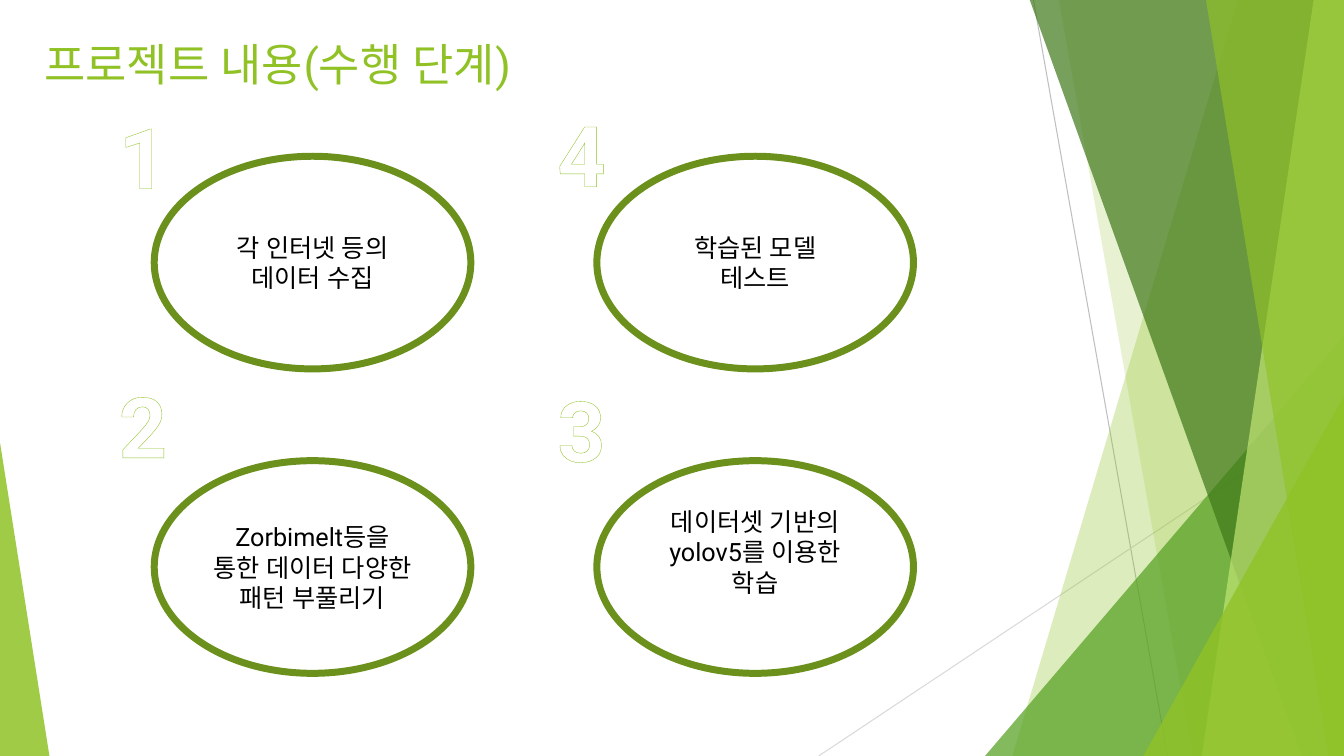
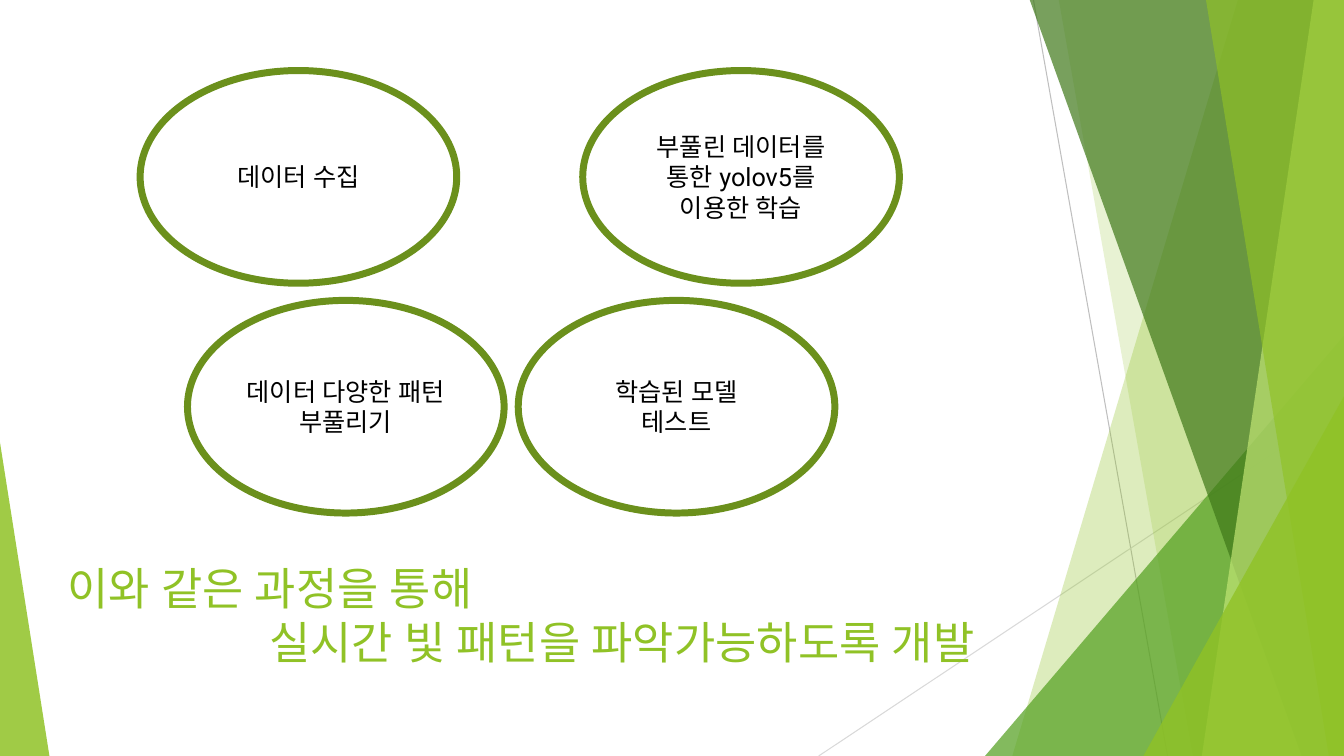
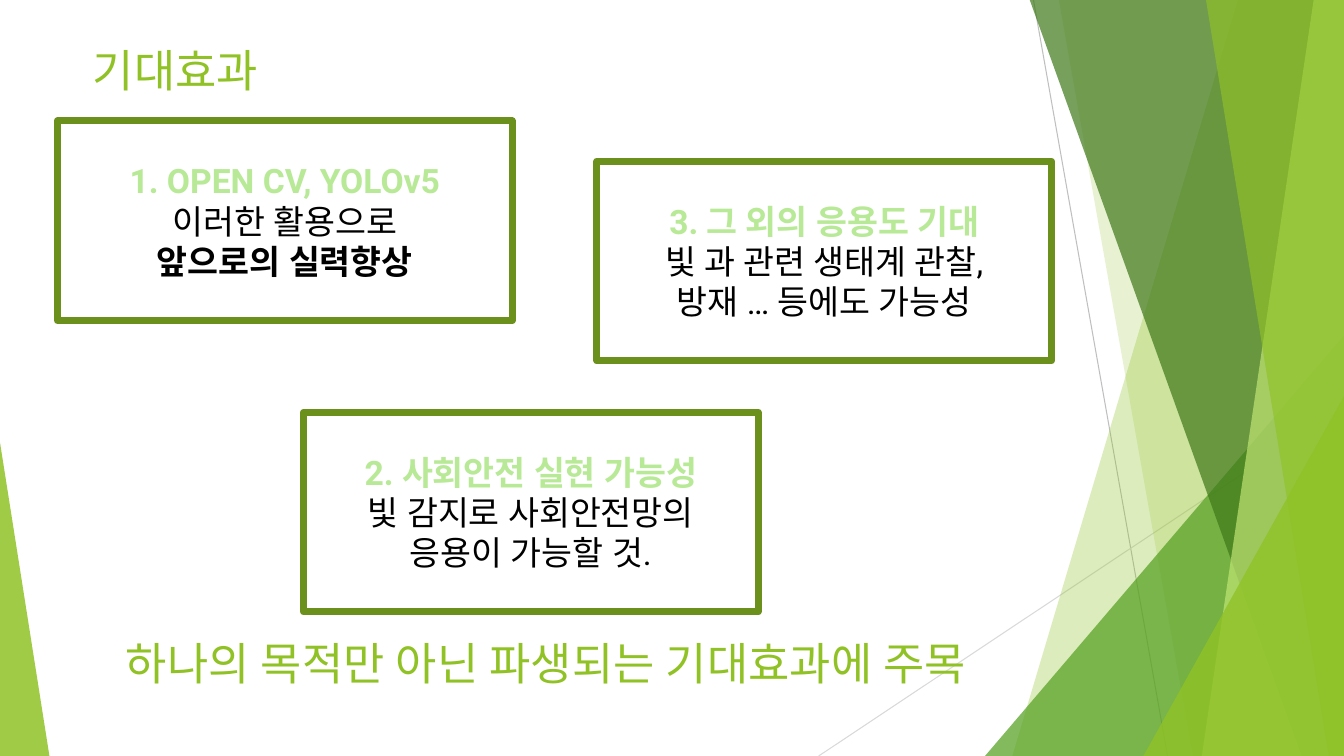
import dataclasses
import pptx
import pptx.util
import pptx.dml.color
import pptx.enum.shapes
import pptx.enum.text
import pptx.oxml
import pptx.oxml.ns

Inches = pptx.util.Inches
Pt = pptx.util.Pt
Kind = pptx.enum.shapes.MSO_SHAPE
Align = pptx.enum.text.PP_ALIGN
Anchor = pptx.enum.text.MSO_ANCHOR
qn = pptx.oxml.ns.qn


@dataclasses.dataclass(frozen=True)
class Theme:
    font: str = "Roboto"
    lime: str = "90C226"
    leaf: str = "54A021"
    pine: str = "3F7819"
    pale: str = "C0E474"
    edge: str = "6B901C"
    mint: str = "B7E996"
    ink: str = "000000"
    white: str = "FFFFFF"
    gray: str = "BFBFBF"
    mist: str = "D9D9D9"
    title: int = 32
    body: int = 18
    card: int = 24
    digit: int = 60
    rim: float = 5
    hair: float = 0.75
    bold: float = 1.75


THEME = Theme()
WIDE, HIGH = 13.33, 7.5
OVAL = (3.14, 2.11)
CARD = (4.51, 1.98)
DIGIT = (1.31, 1.11)

RAYS = [
    ((10.25, 0), (11.58, HIGH), THEME.gray),
    ((WIDE, 4.03), (8.12, HIGH), THEME.mist),
]
ART = [
    ("band", 12.28, 10.04, THEME.lime, 30),
    ("band", 10.5, 11.83, THEME.lime, 20),
    ("peak", (9.77, 3.33, 3.56, 4.17), 1, THEME.leaf, 72),
    ("band", 10.21, 12.91, THEME.pine, 70),
    ("band", 13.03, 11.92, THEME.pale, 70),
    ("band", 11.96, 13.18, THEME.lime, 65),
    ("peak", (11.34, 3.93, 1.99, 3.57), 1, THEME.lime, 80),
    ("peak", (0, 4.39, 0.49, 3.11), 0, THEME.lime, 85),
]

STEPS = {
    "title": (["프로젝트 내용(수행 단계)"], (0.34, 0.31, 5.29, 0.64)),
    "ovals": [
        ((1.53, 1.55), ["각 인터넷 등의", "데이터 수집"], 0.05),
        ((1.53, 4.57), ["Zorbimelt등을 통한 데이터 다양한 패턴 부풀리기"], 0.05),
        ((5.92, 1.55), ["학습된 모델", "테스트"], 0.05),
        ((5.92, 4.57), ["데이터셋 기반의 yolov5를 이용한 학습"], 0.35),
    ],
    "digits": [
        ("1", (1.08, 0.99)),
        ("2", (1.08, 3.66)),
        ("3", (5.43, 3.7)),
        ("4", (5.43, 0.97)),
    ],
}
FLOW = {
    "title": (["이와 같은 과정을 통해", "실시간 빛 패턴을 파악가능하도록 개발"],
              (0.57, 5.51, 9.94, 1.18)),
    "ovals": [
        ((1.39, 0.7), ["데이터 수집"], 0.05),
        ((1.86, 2.98), ["데이터 다양한 패턴 부풀리기"], 0.05),
        ((5.78, 0.7), ["부풀린 데이터를", "통한 yolov5를 이용한 학습"], 0.05),
        ((5.14, 2.98), ["학습된 모델", "테스트"], 0.05),
    ],
}
GAINS = {
    "title": (["기대효과"], (0.82, 0.37, 2, 0.64)),
    "close": (["하나의 목적만 아닌 파생되는 기대효과에 주목"],
              (1.15, 6.26, 9.4, 0.64)),
    "cards": [
        ((0.57, 1.2), ["1. OPEN CV, YOLOv5", "이러한 활용으로", "앞으로의 실력향상"], True),
        ((3.01, 4.09), ["2. 사회안전 실현 가능성", "빛 감지로 사회안전망의", "응용이 가능할 것."], False),
        ((5.92, 1.6), ["3. 그 외의 응용도 기대", "빛 과 관련 생태계 관찰,", "방재 … 등에도 가능성"], False),
    ],
}


def rgb(tint):
    return pptx.dml.color.RGBColor.from_string(tint)


def box(*nums):
    return [Inches(num) for num in nums]


def node(home, tag, **attrs):
    item = home.makeelement(qn(tag), attrs)
    home.append(item)
    return item


def paint(shape, tint, alpha):
    shape.shadow.inherit = False
    shape.line.fill.background()
    shape.fill.solid()
    shape.fill.fore_color.rgb = rgb(tint)
    color = shape.element.spPr.find(qn("a:solidFill"))[0]
    node(color, "a:alpha", val=str(alpha * 1000))


def style(run, size, tint, bold=False):
    run.font.size = Pt(size)
    run.font.name = THEME.font
    run.font.bold = bold
    run.font.color.rgb = rgb(tint)
    node(run.font._element, "a:ea", typeface=THEME.font)


def trace(run, tint, width):
    props = run.font._element
    line = node(props, "a:ln", w=str(Pt(width)))
    node(node(line, "a:solidFill"), "a:srgbClr", val=tint)
    props.insert(0, line)


def write(frame, lines, size, tint, align, anchor):
    frame.word_wrap = True
    frame.auto_size = pptx.enum.text.MSO_AUTO_SIZE.NONE
    frame.vertical_anchor = anchor
    frame.text = "\n".join(lines)
    for para in frame.paragraphs:
        para.alignment = align
        for run in para.runs:
            style(run, size, tint)


def head(shape, lines, spot):
    shape.left, shape.top, shape.width, shape.height = box(*spot)
    write(shape.text_frame, lines, THEME.title, THEME.lime, Align.LEFT, Anchor.TOP)
    for para in shape.text_frame.paragraphs[1:]:
        props = para._p.get_or_add_pPr()
        props.set("marL", str(Inches(2)))
        props.set("indent", "0")


def frame_shape(slide, kind, spot, size, lines, points):
    shape = slide.shapes.add_shape(kind, *box(*spot, *size))
    shape.shadow.inherit = False
    shape.fill.background()
    shape.line.color.rgb = rgb(THEME.edge)
    shape.line.width = Pt(THEME.rim)
    write(shape.text_frame, lines, points, THEME.ink, Align.CENTER, Anchor.MIDDLE)
    return shape


def draw_ovals(slide, ovals):
    for spot, lines, low in ovals:
        shape = frame_shape(slide, Kind.OVAL, spot, OVAL, lines, THEME.body)
        shape.text_frame.margin_bottom = Inches(low)


def draw_digits(slide, digits):
    for text, spot in digits:
        frame = slide.shapes.add_textbox(*box(*spot, *DIGIT)).text_frame
        write(frame, [text], THEME.digit, THEME.white, Align.LEFT, Anchor.TOP)
        run = frame.paragraphs[0].runs[0]
        run.font.bold = True
        run.font._element.set("spc", "50")
        trace(run, THEME.lime, THEME.hair)


def draw_cards(slide, cards):
    for spot, lines, loud in cards:
        shape = frame_shape(slide, Kind.RECTANGLE, spot, CARD, lines, THEME.card)
        first, _, last = [para.runs[0] for para in shape.text_frame.paragraphs]
        first.font.bold = True
        first.font.color.rgb = rgb(THEME.mint)
        trace(first, THEME.leaf, THEME.bold)
        last.font.bold = loud


def draw_art(slide, master):
    shapes = slide.shapes
    parts = []
    for start, end, tint in RAYS:
        ray = shapes.add_connector(pptx.enum.shapes.MSO_CONNECTOR.STRAIGHT,
                                   *box(*start, *end))
        ray.line.color.rgb = rgb(tint)
        ray.line.width = Pt(THEME.hair)
        node(ray.element.spPr, "a:effectLst")
        parts.append(ray)
    for kind, spot, base, tint, alpha in ART:
        if kind == "band":
            pen = shapes.build_freeform(*box(spot, -0.01))
            pen.add_line_segments([box(WIDE, -0.01), box(WIDE, HIGH), box(base, HIGH)])
            part = pen.convert_to_shape()
        else:
            part = shapes.add_shape(Kind.ISOSCELES_TRIANGLE, *box(*spot))
            part.adjustments[0] = base
        paint(part, tint, alpha)
        parts.append(part)
    for num, part in enumerate(parts, 100):
        part.element.xpath(".//p:cNvPr")[0].set("id", str(num))
        master.shapes.element.append(part.element)


def main():
    deck = pptx.Presentation()
    deck.slide_width, deck.slide_height = box(WIDE, HIGH)
    slides = []
    for page in (STEPS, FLOW, GAINS):
        slide = deck.slides.add_slide(deck.slide_layouts[5])
        head(slide.shapes.title, *page["title"])
        draw_ovals(slide, page.get("ovals", []))
        draw_digits(slide, page.get("digits", []))
        draw_cards(slide, page.get("cards", []))
        if "close" in page:
            lines, spot = page["close"]
            head(slide.shapes.add_textbox(*box(*spot)), lines, spot)
        slides.append(slide)
    draw_art(slides[0], deck.slide_master)
    deck.save("out.pptx")


if __name__ == "__main__":
    main()
